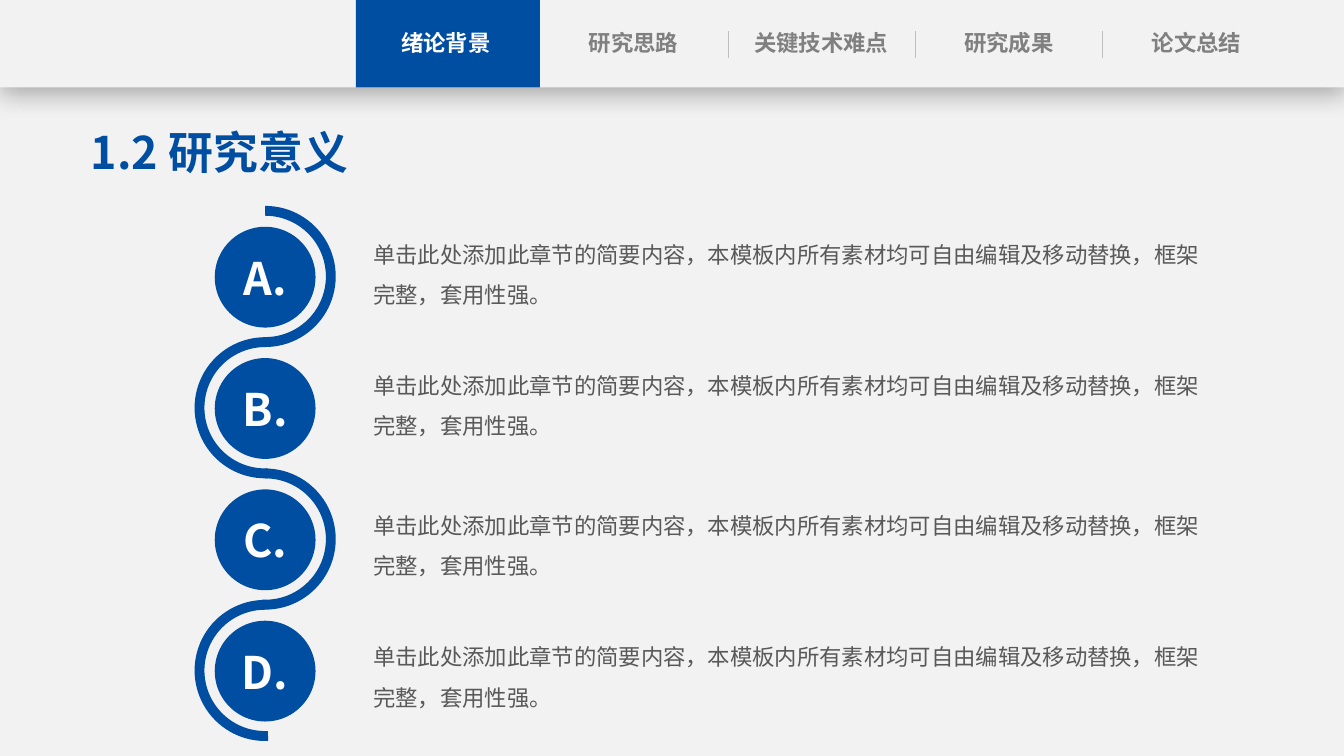
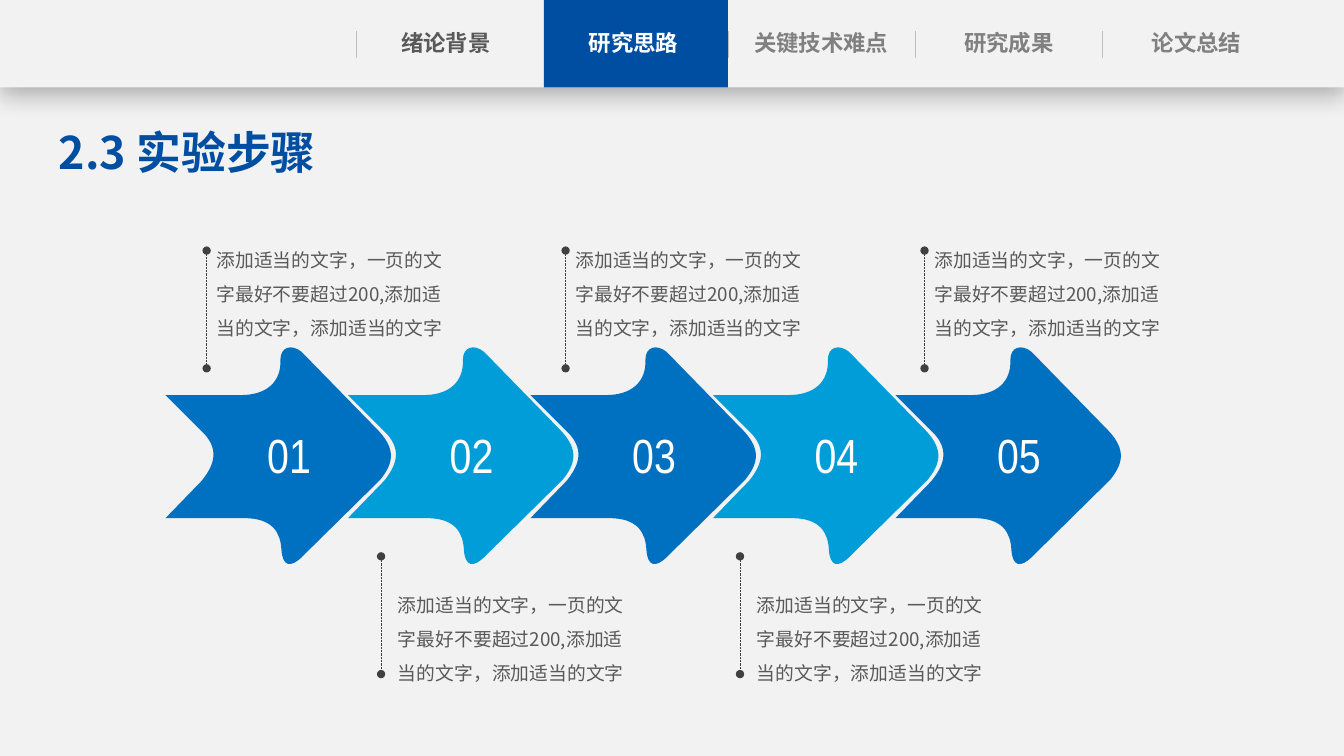
import lxml.etree
import pptx
import pptx.dml.color
import pptx.enum.dml
import pptx.enum.shapes
import pptx.enum.text
import pptx.oxml.ns
import pptx.util

Pt = pptx.util.Pt
rgb = pptx.dml.color.RGBColor.from_string
qn = pptx.oxml.ns.qn
PRESET = pptx.enum.shapes.MSO_SHAPE
LEFT = pptx.enum.text.PP_ALIGN.LEFT
CENTER = pptx.enum.text.PP_ALIGN.CENTER
TOP = pptx.enum.text.MSO_ANCHOR.TOP
MIDDLE = pptx.enum.text.MSO_ANCHOR.MIDDLE

BLUE, MID_BLUE, SKY_BLUE = "004EA2", "0070C0", "009DD9"
PAPER, WHITE, RULE_GREY = "F2F2F2", "FFFFFF", "BFBFBF"
BODY_GREY, TAB_GREY, DOT_GREY = "595959", "808080", "404040"
BODY_FONT, NUMBER_FONT = "Noto Sans CJK SC", "Arial Narrow"

CHAPTERS = ["绪论背景", "研究思路", "关键技术难点", "研究成果", "论文总结"]
DIVIDERS = [254.5, 520, 653.8, 787.7]
MEANING = "单击此处添加此章节的简要内容，本模板内所有素材均可自由编辑及移动替换，框架完整，套用性强。"
STEP = "添加适当的文字，一页的文字最好不要超过200,添加适当的文字，添加适当的文字"


def paint(shape, color):
    """Give a shape a flat fill with no outline and no shadow."""
    shape.shadow.inherit = False
    shape.fill.solid()
    shape.fill.fore_color.rgb = rgb(color)
    shape.line.fill.background()


def write(shape, text, size, color, bold=False, align=LEFT, anchor=TOP,
          insets=(0, 0, 0, 0), spacing=None, font=BODY_FONT):
    """Fill a shape with one paragraph; insets are left, top, right, bottom."""
    frame = shape.text_frame
    frame.text = text
    frame.word_wrap = True
    frame.vertical_anchor = anchor
    (frame.margin_left, frame.margin_top,
     frame.margin_right, frame.margin_bottom) = [Pt(inset) for inset in insets]
    paragraph = frame.paragraphs[0]
    paragraph.alignment = align
    if spacing:
        paragraph.line_spacing = spacing
    run = paragraph.runs[0]
    run.font.size = Pt(size)
    run.font.bold = bold
    run.font.color.rgb = rgb(color)
    run.font.name = font
    east_asian = lxml.etree.SubElement(run.font._element, qn("a:ea"))
    east_asian.set("typeface", font)


deck = pptx.Presentation()
deck.slide_width, deck.slide_height = Pt(960), Pt(540)

# Navigation and title, shared by both slides
pages = []
vertical_lines = []  # slide, x, start y, end y, colour, dotted with round ends
for active, title, title_left, title_width, title_align, dividers in [
    (0, "1.2 研究意义", 47, 219.6, CENTER, DIVIDERS[1:]),
    (1, "2.3 实验步骤", 42, 276.5, LEFT, DIVIDERS),
]:
    slide = deck.slides.add_slide(deck.slide_layouts[6])
    pages.append(slide)

    band = slide.shapes.add_shape(PRESET.RECTANGLE, 0, 0, Pt(960), Pt(62.5))
    paint(band, PAPER)
    effects = band._element.spPr.find(qn("a:effectLst"))
    shade = lxml.etree.SubElement(
        effects, qn("a:outerShdw"), blurRad=str(Pt(18)), dist=str(Pt(4)),
        dir="5400000", algn="t", rotWithShape="0")
    black = lxml.etree.SubElement(shade, qn("a:srgbClr"), val="000000")
    lxml.etree.SubElement(black, qn("a:alpha"), val="29000")

    active_tab = slide.shapes.add_shape(
        PRESET.RECTANGLE, Pt(254.3 + 134.3 * active), 0, Pt(131.3), Pt(62.5))
    paint(active_tab, BLUE)

    for index, chapter in enumerate(CHAPTERS):
        tab_color = BODY_GREY if index < active else TAB_GREY
        if index == active:
            tab_color = WHITE
        label = slide.shapes.add_textbox(
            Pt(265.7 + 134 * index), Pt(17.2), Pt(105.8), Pt(27.4))
        write(label, chapter, 16, tab_color, bold=True, align=CENTER,
              insets=(0, 3.6, 0, 3.6))

    for x in dividers:
        vertical_lines.append((slide, x, 22.3, 41.8, RULE_GREY, False))

    heading = slide.shapes.add_textbox(
        Pt(title_left), Pt(85.2), Pt(title_width), Pt(46))
    write(heading, title, 32, BLUE, bold=True, align=title_align,
          insets=(0, 3.6, 0, 3.6))

significance, steps = pages

# The paper panel belongs to the master, behind everything else
paper = significance.shapes.add_shape(PRESET.RECTANGLE, 0, 0, Pt(960), Pt(540))
paint(paper, PAPER)
deck.slide_master.shapes._spTree.insert(2, paper._element)

# Winding ribbon with four lettered points
for index, (letter, text_top) in enumerate(
        zip("ABCD", [162.3, 255.9, 356.2, 450])):
    row = 93.8 * index
    ribbon = significance.shapes.add_shape(
        PRESET.BLOCK_ARC, Pt(139), Pt(147.1 + row), Pt(100.8), Pt(100.8))
    paint(ribbon, BLUE)
    ribbon.adjustments[0] = 108
    ribbon.adjustments[1] = 1.5
    ribbon.adjustments[2] = 0.07
    ribbon.rotation = 90
    if index % 2:
        ribbon.rotation = 270
        ribbon._element.spPr.xfrm.set("flipH", "1")

    badge = significance.shapes.add_shape(
        PRESET.OVAL, Pt(153.4), Pt(162 + row), Pt(72), Pt(72))
    paint(badge, BLUE)
    write(badge, letter + ".", 32, WHITE, bold=True, align=CENTER, anchor=MIDDLE)

    point = significance.shapes.add_textbox(
        Pt(266.6), Pt(text_top), Pt(596.2), Pt(58.3))
    write(point, MEANING, 16, BODY_GREY, spacing=1.5)

# Arrow outline, measured from the corner of its frame
ARROW_TOP, ARROW_WIDTH, ARROW_HEIGHT = 248.4, 160.8, 154.8
ARROW_OUTLINE = [
    ("a:moveTo", [(0, 33.8)]),
    ("a:lnTo", [(54, 33.8)]),
    ("a:cubicBezTo", [(72, 33.8), (82.8, 24.5), (82.1, 8.6)]),
    ("a:cubicBezTo", [(82.1, -0.7), (90, -2.9), (97.2, 2.9)]),
    ("a:lnTo", [(151.9, 59)]),
    ("a:cubicBezTo", [(165.6, 73.4), (162, 83.5), (153.4, 94.3)]),
    ("a:lnTo", [(97.9, 149)]),
    ("a:cubicBezTo", [(89.3, 157.7), (83.5, 156.2), (82.8, 144)]),
    ("a:cubicBezTo", [(82.1, 132.5), (77, 121.7), (56.2, 121.7)]),
    ("a:lnTo", [(0, 121.7)]),
    ("a:lnTo", [(25.9, 95)]),
    ("a:cubicBezTo", [(33.8, 85), (38.9, 74.2), (28.1, 61.9)]),
    ("a:lnTo", [(0, 33.8)]),
    ("a:close", []),
]

for index in reversed(range(5)):
    arrow_color = SKY_BLUE if index % 2 else MID_BLUE
    arrow_left = 118.2 + 130.35 * index
    arrow_right, arrow_bottom = arrow_left + ARROW_WIDTH, ARROW_TOP + ARROW_HEIGHT
    builder = steps.shapes.build_freeform(Pt(arrow_left), Pt(ARROW_TOP), scale=1.0)
    builder.add_line_segments([(Pt(arrow_right), Pt(arrow_bottom))])
    arrow = builder.convert_to_shape()
    # The frame is set; its diagonal gives way to the curved outline
    outline = next(arrow._element.iter(qn("a:path")))
    for diagonal_part in list(outline):
        outline.remove(diagonal_part)
    for command, corners in ARROW_OUTLINE:
        segment = lxml.etree.SubElement(outline, qn(command))
        for x, y in corners:
            lxml.etree.SubElement(segment, qn("a:pt"), x=str(Pt(x)), y=str(Pt(y)))
    paint(arrow, arrow_color)

    number = steps.shapes.add_shape(
        PRESET.RECTANGLE, Pt(arrow_left + 65.6), Pt(300.2), Pt(50.4), Pt(49))
    paint(number, arrow_color)
    write(number, f"{index + 1:02}", 34.2, WHITE,
          insets=(7.2, 3.6, 7.2, 3.6), font=NUMBER_FONT)

# Notes alternate above and below the arrows
for index in range(5):
    column = 256.4 * (index // 2)
    if index % 2:
        note_left, note_top = 277.2 + column, 412.6
        vertical_lines.append((steps, 272.2 + column, 481.5, 397.4, DOT_GREY, True))
    else:
        note_left, note_top = 147.6 + column, 166.3
        vertical_lines.append((steps, 147.6 + column, 263.1, 179, DOT_GREY, True))
    note = steps.shapes.add_textbox(Pt(note_left), Pt(note_top), Pt(182.2), Pt(80.6))
    write(note, STEP, 13.4, BODY_GREY, insets=(7.2, 3.6, 7.2, 3.6), spacing=1.5)

# Tab dividers and dotted leaders
for slide, x, start, end, color, dotted in vertical_lines:
    rule = slide.shapes.add_connector(
        pptx.enum.shapes.MSO_CONNECTOR.STRAIGHT, Pt(x), Pt(start), Pt(x), Pt(end))
    rule.line.color.rgb = rgb(color)
    rule.line.width = Pt(0.5)
    properties = rule._element.spPr
    if dotted:
        rule.line.dash_style = pptx.enum.dml.MSO_LINE.ROUND_DOT
        for line_end in ("a:headEnd", "a:tailEnd"):
            lxml.etree.SubElement(properties.find(qn("a:ln")), qn(line_end), type="oval")
    lxml.etree.SubElement(properties, qn("a:effectLst"))

deck.save("out.pptx")
